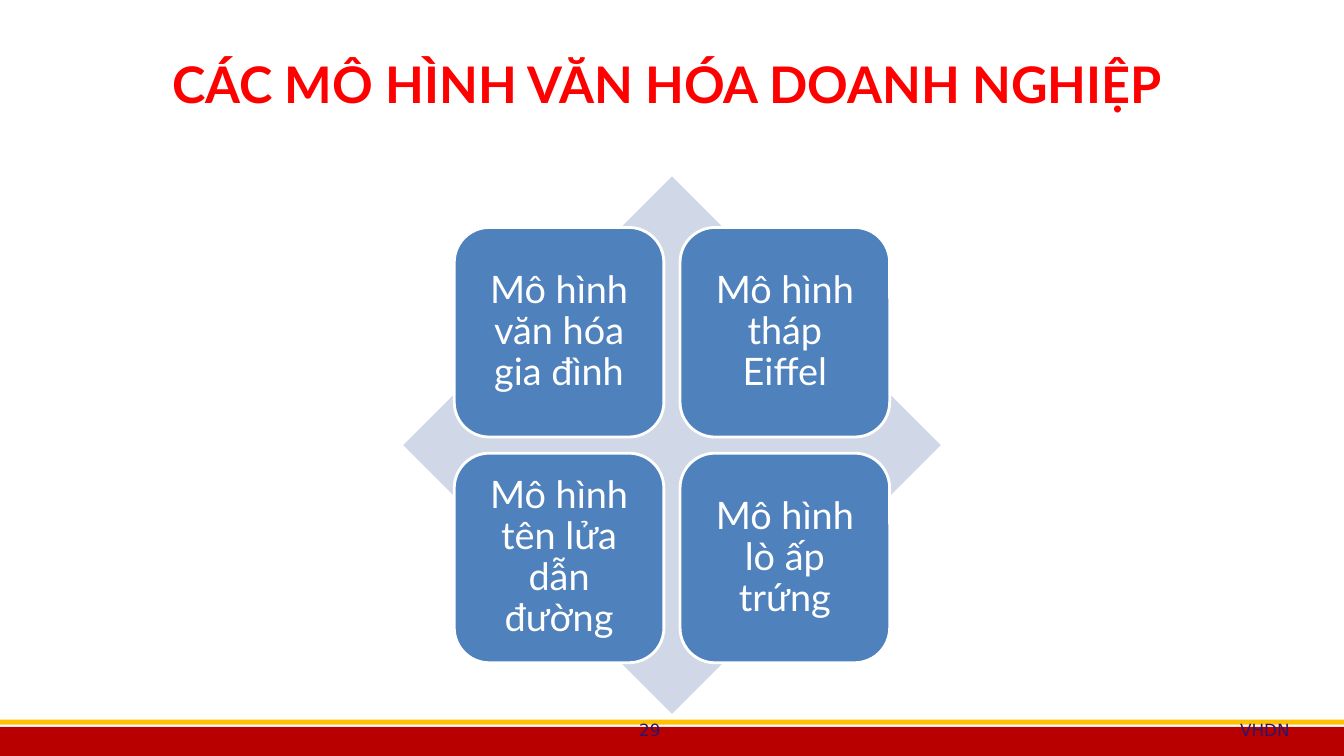
"""Build the slide on the four models of corporate culture."""
from dataclasses import dataclass

from pptx import Presentation
from pptx import util as u
from pptx.dml.color import RGBColor
from pptx.enum import shapes, text

WIDTH, HEIGHT = 13.33, 7.5


@dataclass(frozen=True)
class Theme:
    """Colours, fonts and type sizes of the slide."""
    title: str = "FF0000"
    diamond: str = "D0D8E8"
    card: str = "4F81BD"
    white: str = "FFFFFF"
    band: str = "B80000"
    stripe: str = "FFC000"
    footer: str = "2B166E"
    font: str = "Lato"
    footer_font: str = "DejaVu Sans"
    title_size: int = 36
    card_size: int = 27
    footer_size: int = 12


THEME = Theme()
MODELS = (
    ("Mô hình văn hóa gia đình", "Mô hình tháp Eiffel"),
    ("Mô hình tên lửa dẫn đường", "Mô hình lò ấp trứng"),
)


def set_format(target, values):
    """Set each named attribute of the target."""
    for name, value in values.items():
        setattr(target, name, value)


def add_block(slide, kind, box, fill, outline=None):
    """Add a filled preset shape in a box given in inches."""
    shape = slide.shapes.add_shape(kind, *map(u.Inches, box))
    shape.shadow.inherit = False
    shape.fill.solid()
    shape.fill.fore_color.rgb = RGBColor.from_string(fill)
    if outline:
        shape.line.color.rgb = RGBColor.from_string(outline)
        shape.line.width = u.Pt(2)
    else:
        shape.line.fill.background()
    return shape


def write(shape, wording, color, font, frame=None, paragraph=None):
    """Write one paragraph of formatted text into a shape."""
    set_format(shape.text_frame, {"word_wrap": True, **(frame or {})})
    line = shape.text_frame.paragraphs[0]
    set_format(line, {"alignment": text.PP_ALIGN.CENTER, **(paragraph or {})})
    run = line.add_run()
    run.text = wording
    set_format(run.font, font)
    run.font.color.rgb = RGBColor.from_string(color)


def add_label(slide, box, wording, color, font, **formats):
    """Add a text box in a box given in inches."""
    shape = slide.shapes.add_textbox(*map(u.Inches, box))
    write(shape, wording, color, font, **formats)


def add_matrix(slide, left, top, side):
    """Add the diamond and the grid of model cards on it."""
    add_block(slide, shapes.MSO_SHAPE.DIAMOND, (left, top, side, side), THEME.diamond)
    margin, pitch, card = 0.095 * side, 0.42 * side, 0.39 * side
    inset = u.Inches(0.11)
    frame = {f"margin_{edge}": inset for edge in ("left", "top", "right", "bottom")}
    frame["vertical_anchor"] = text.MSO_ANCHOR.MIDDLE
    font = {"name": THEME.font, "size": u.Pt(THEME.card_size)}
    for row, names in enumerate(MODELS):
        for column, name in enumerate(names):
            box = (left + margin + column * pitch, top + margin + row * pitch, card, card)
            shape = add_block(slide, shapes.MSO_SHAPE.ROUNDED_RECTANGLE, box,
                              THEME.card, THEME.white)
            write(shape, name, THEME.white, font, frame, {"line_spacing": 0.9})


def add_footer(slide):
    """Add the page number and the course name."""
    font = {"name": THEME.footer_font, "size": u.Pt(THEME.footer_size)}
    for left, width, wording, alignment in (
        (4.89, 3.11, "29", text.PP_ALIGN.CENTER),
        (8.67, 4.22, "VHDN", text.PP_ALIGN.RIGHT),
    ):
        add_label(slide, (left, 7.09, width, 0.35), wording, THEME.footer, font,
                  paragraph={"alignment": alignment})


def main():
    """Build and save the slide."""
    presentation = Presentation()
    set_format(presentation, {"slide_width": u.Inches(WIDTH),
                              "slide_height": u.Inches(HEIGHT)})
    slide = presentation.slides.add_slide(presentation.slide_layouts[6])
    for top, height, color in ((7.21, 0.29, THEME.band), (7.14, 0.05, THEME.stripe)):
        add_block(slide, shapes.MSO_SHAPE.RECTANGLE, (0, top, WIDTH, height), color)
    add_label(slide, (0.29, 0.35, 12.76, 0.96), "CÁC MÔ HÌNH VĂN HÓA DOANH NGHIỆP ",
              THEME.title,
              {"name": THEME.font, "size": u.Pt(THEME.title_size), "bold": True},
              frame={"vertical_anchor": text.MSO_ANCHOR.MIDDLE})
    add_matrix(slide, 0.3 * WIDTH, 1.75, 0.4 * WIDTH)
    add_footer(slide)
    presentation.save("out.pptx")


if __name__ == "__main__":
    main()
